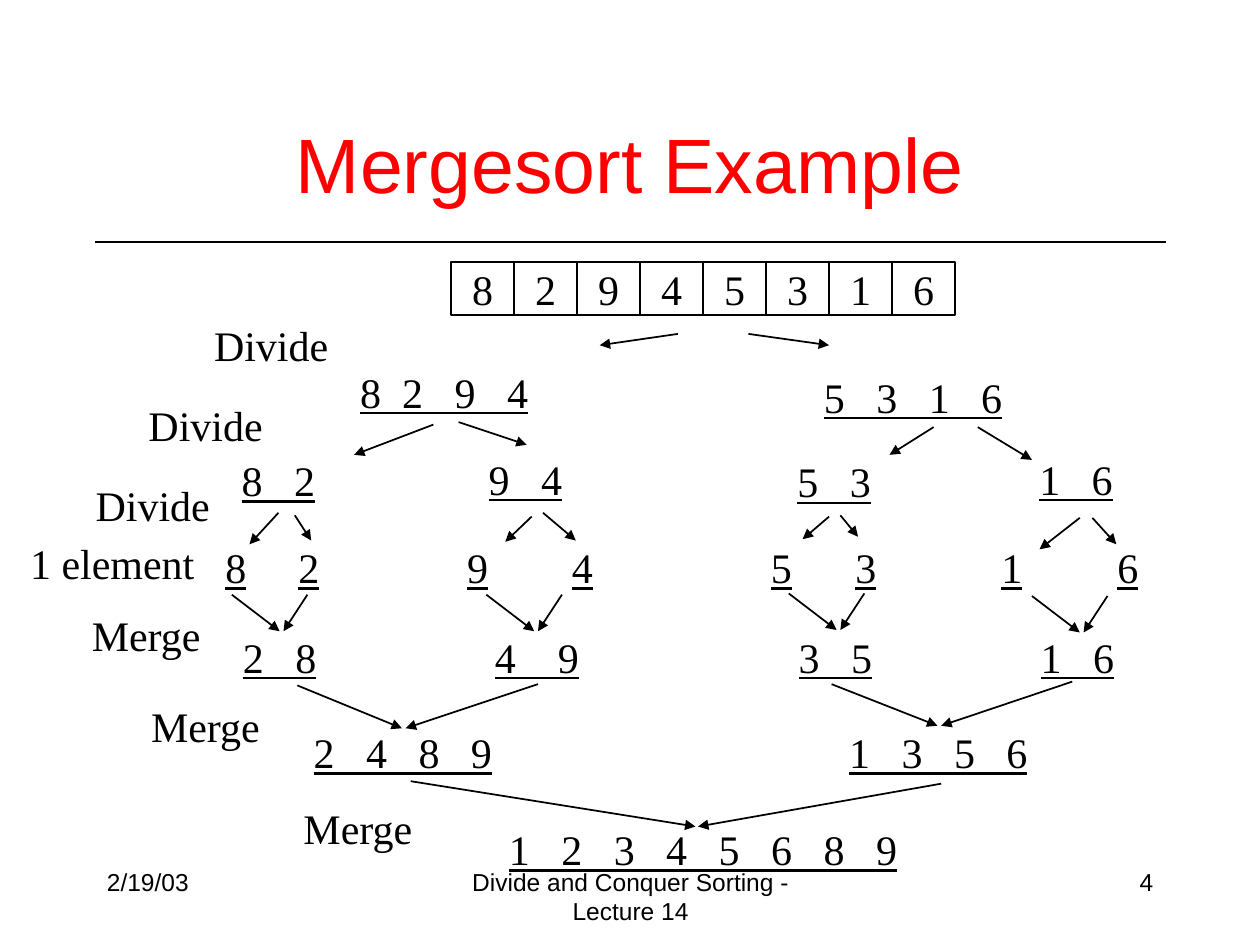
from lxml.etree import SubElement
from pptx import Presentation
from pptx.dml.color import RGBColor
from pptx.enum.shapes import MSO_CONNECTOR as CONN, MSO_SHAPE as SHAPE
from pptx.enum.text import MSO_ANCHOR as ANCHOR, PP_ALIGN as ALIGN
from pptx.oxml.ns import qn
from pptx.util import Inches, Pt

WIDTH, HEIGHT = Inches(10), Inches(7.5)
COLS, ROWS = 100, 75
BLACK, RED = "000000", "FF0000"
SANS, SERIF = "Arial", "Times New Roman"

FOOTERS = [
    (7.5, 20.8, "2/19/03", ALIGN.LEFT),
    (34.2, 31.7, "Divide and Conquer Sorting - Lecture 14", ALIGN.CENTER),
    (71.7, 20.8, "4", ALIGN.RIGHT),
]
STEPS = [
    (16, 24.9, 11, "Divide"), (10.8, 31.2, 11, "Divide"),
    (6.6, 37.6, 11, "Divide"), (1.4, 42.2, 15, "1 element"),
    (6.3, 47.9, 10.7, "Merge"), (11, 55.1, 10.7, "Merge"),
    (23.1, 63.2, 10.7, "Merge"),
]
HALVES = [
    (27.6, 28.6, 15.3, "8  2   9   4"), (64.4, 29, 16.1, "5   3   1   6"),
    (18.2, 35.6, 7.8, "8   2"), (37.8, 35.5, 7.8, "9   4"),
    (62.3, 35.7, 7.8, "5   3"), (81.5, 35.5, 7.8, "1   6"),
]
MERGED = [
    (16.9, 42.5, 74.5, [(17.9, "8"), (23.7, "2"), (37.1, "9"), (45.4, "4"),
                        (61.2, "5"), (67.9, "3"), (79.5, "1"), (88.7, "6")]),
    (15.8, 49.6, 73.6, [(19.3, "2   8"), (39.3, "4    9"),
                        (63.4, "3   5"), (82.6, "1   6")]),
    (17.2, 57.2, 65.3, [(24.9, "2   4   8   9"), (67.4, "1   3   5   6")]),
    (32.7, 64.9, 39.5, [(40.4, "1   2   3   4   5   6   8   9")]),
]
SPLIT_ARROWS = [
    (53.8, 26.5, 47.6, 27.4), (59.4, 26.5, 65.8, 27.4),
    (34.4, 33.7, 28.1, 36.1), (36.4, 33.5, 41.8, 35.3),
    (74.1, 33.9, 70.6, 36.1), (77.6, 33.9, 81.9, 36.5),
    (22.1, 40.7, 19.8, 43.2), (23.4, 40.9, 24.7, 42.9),
    (42.2, 41, 40.1, 43), (43.1, 40.7, 45.7, 42.9),
    (65.8, 41, 63.7, 42.8), (66.7, 40.9, 68.1, 42.6),
    (85.7, 41.1, 82.5, 43.6), (86.7, 41.1, 88.6, 43.2),
]
PAIR_MERGES = [(18.4, 47.2), (38.6, 47.2), (62.6, 47.1), (81.9, 47.3)]
JOIN_ARROWS = [
    (23.6, 54.4, 31.9, 57.8), (42.7, 54.3, 32.2, 57.8),
    (66, 54.3, 74.4, 57.6), (85.1, 54.1, 74.7, 57.6),
    (32.6, 62, 55.2, 65.6), (74.7, 62.2, 55.4, 65.6),
]


def col(n):
    """Length of n grid columns."""
    return round(WIDTH * n / COLS)


def row(n):
    """Length of n grid rows."""
    return round(HEIGHT * n / ROWS)


def rgb(value):
    """Colour from a hex string."""
    return RGBColor.from_string(value)


def add_run(p, text, font=SERIF, size=24, color=BLACK, underline=False):
    """Add one formatted run to a paragraph."""
    r = p.add_run()
    r.text = text
    r.font.name, r.font.size = font, Pt(size)
    r.font.color.rgb = rgb(color)
    r.font.underline = underline


def add_box(s, x, y, w):
    """Add a wrapping one-line text box and return its paragraph."""
    tf = s.shapes.add_textbox(col(x), row(y), col(w), row(5)).text_frame
    tf.word_wrap = True
    return tf.paragraphs[0]


def add_label(s, x, y, w, text, underline=False):
    """Add a serif label with a little room to spare."""
    add_run(add_box(s, x, y, w + 0.5), text, underline=underline)


def add_lists(s, x, y, w, items):
    """Add a line of underlined lists, each placed by a tab stop."""
    p = add_box(s, x, y, w + 0.5)
    start = x + 1
    tabs = SubElement(p._p.get_or_add_pPr(), qn("a:tabLst"))
    for left, text in items:
        if left > start:
            SubElement(tabs, qn("a:tab"), pos=str(col(left - start)), algn="l")
            add_run(p, "\t")
        add_run(p, text, underline=True)


def add_line(s, x1, y1, x2, y2, width=1, arrow=True):
    """Add a straight line, with an arrowhead at its end if asked."""
    c = s.shapes.add_connector(CONN.STRAIGHT, col(x1), row(y1), col(x2), row(y2))
    c.line.color.rgb = rgb(BLACK)
    c.line.width = Pt(width)
    if arrow:
        SubElement(c.line._get_or_add_ln(), qn("a:tailEnd"), type="triangle")
    SubElement(c._element.spPr, qn("a:effectLst"))


def add_cell(s, index, text):
    """Add one cell of the input array."""
    sp = s.shapes.add_shape(SHAPE.RECTANGLE, col(35.8 + 5 * index), row(20.8),
                            col(5), row(4.2))
    sp.shadow.inherit = False
    sp.fill.background()
    sp.line.color.rgb = rgb(BLACK)
    sp.line.width = Pt(0.75)
    tf = sp.text_frame
    tf.word_wrap = False
    tf.vertical_anchor = ANCHOR.MIDDLE
    p = tf.paragraphs[0]
    p.alignment = ALIGN.CENTER
    add_run(p, text)


def add_title(s, text):
    """Place and fill the title."""
    sp = s.shapes.title
    sp.left, sp.top, sp.width, sp.height = col(7.5), row(6.7), col(85), row(12.5)
    tf = sp.text_frame
    tf.vertical_anchor = ANCHOR.MIDDLE
    p = tf.paragraphs[0]
    p.alignment = ALIGN.CENTER
    add_run(p, text, SANS, 44, RED)


def main():
    """Build the mergesort slide."""
    prs = Presentation()
    prs.slide_width, prs.slide_height = WIDTH, HEIGHT
    s = prs.slides.add_slide(prs.slide_layouts[5])
    add_line(s, 7.5, 19.2, 92.5, 19.2, 0.75, arrow=False)
    add_title(s, "Mergesort Example")
    for x, w, text, align in FOOTERS:
        p = add_box(s, x, 68.3, w)
        p.alignment = align
        add_run(p, text, SANS, 14)
    for half in HALVES:
        add_label(s, *half, underline=True)
    for line in MERGED:
        add_lists(s, *line)
    for ends in SPLIT_ARROWS + JOIN_ARROWS:
        add_line(s, *ends)
    for x, y in PAIR_MERGES:
        add_line(s, x, y, x + 3.8, y + 2.9)
        add_line(s, x + 6, y, x + 4.1, y + 2.9)
    for step in STEPS:
        add_label(s, *step)
    for index, text in enumerate("82945316"):
        add_cell(s, index, text)
    prs.save("out.pptx")


if __name__ == "__main__":
    main()
